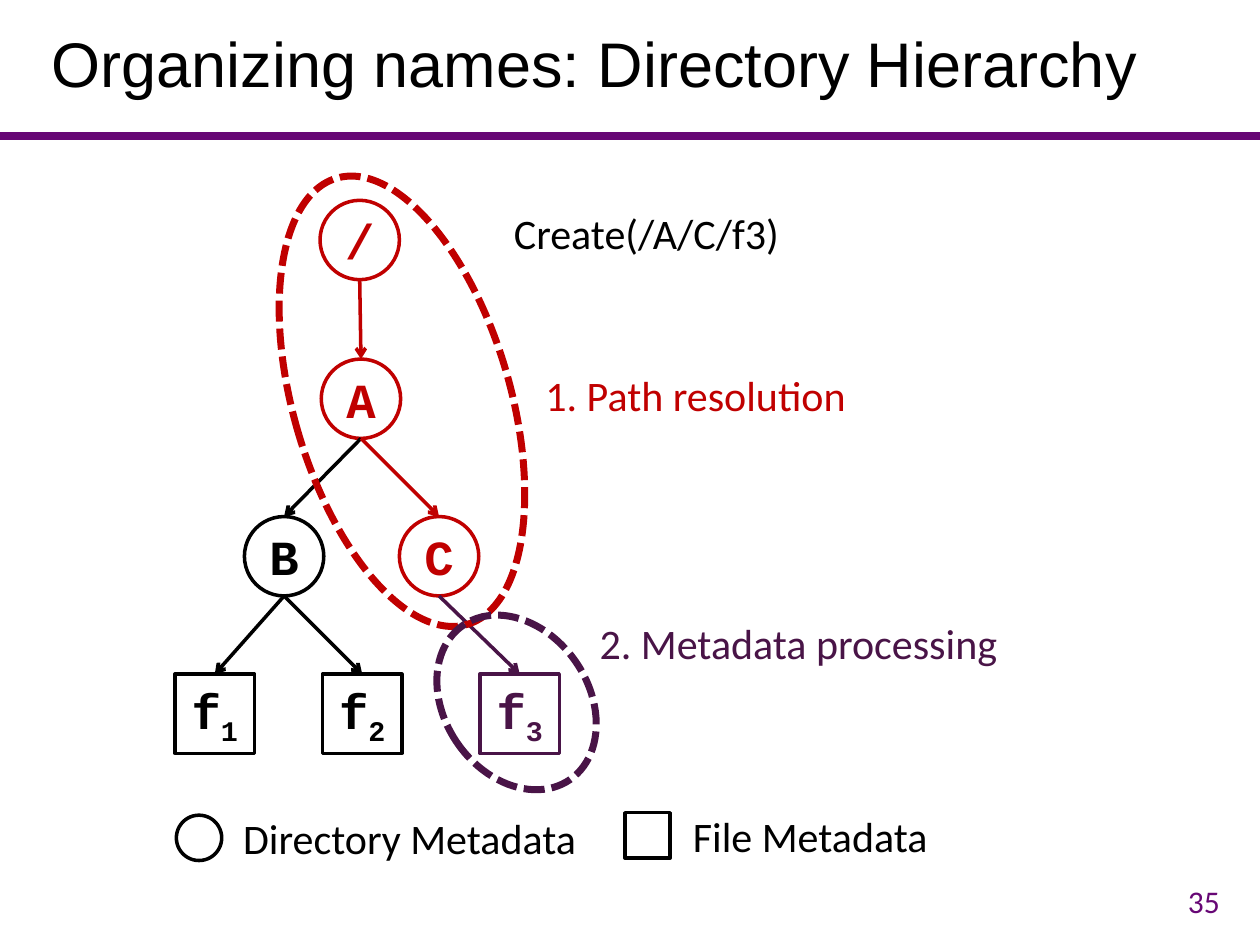
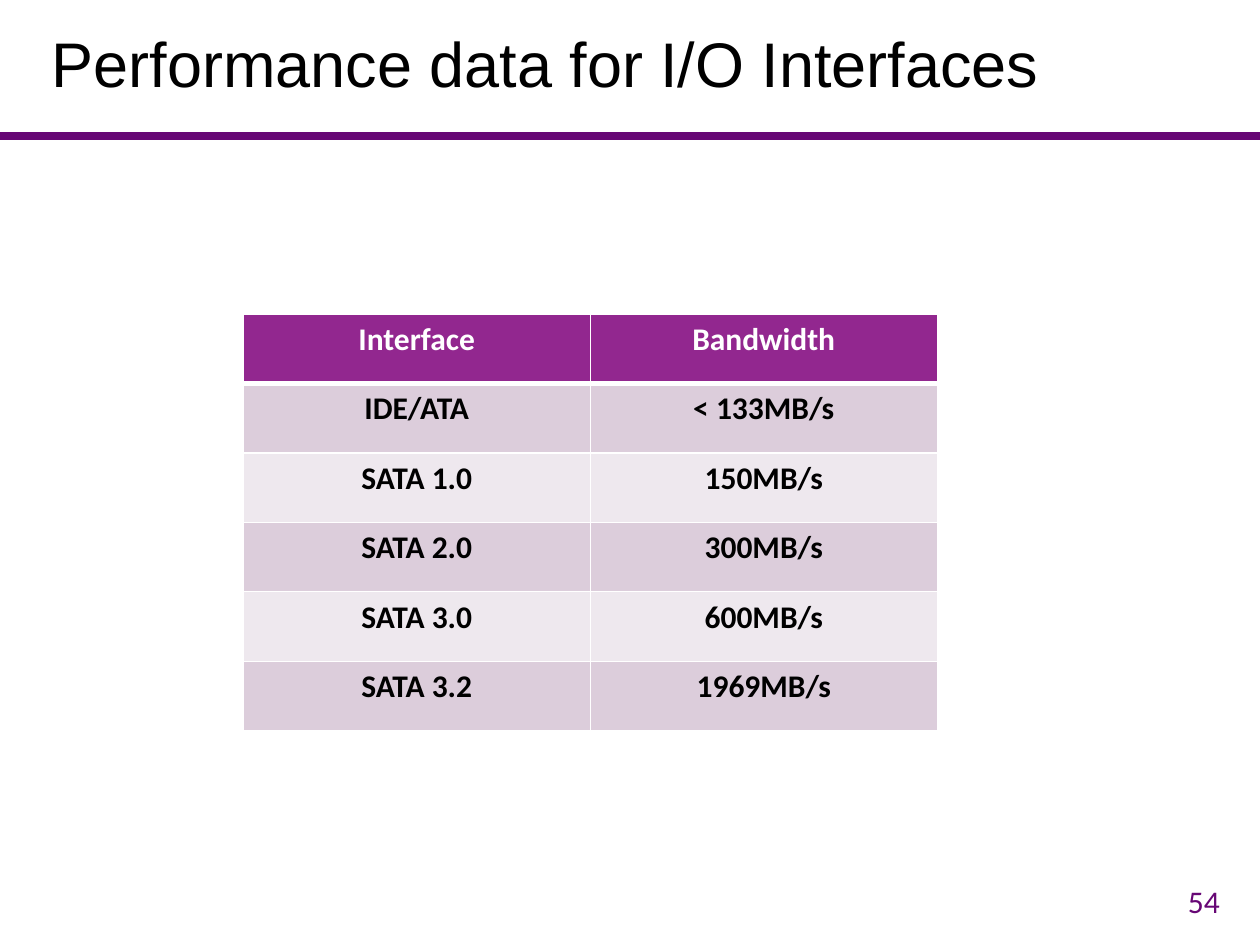
import pptx
import pptx.util
import pptx.dml.color
import pptx.enum.dml
import pptx.enum.shapes
import pptx.enum.text
import pptx.oxml
import pptx.oxml.ns

Inches = pptx.util.Inches
Pt = pptx.util.Pt
RGBColor = pptx.dml.color.RGBColor
ALIGN = pptx.enum.text.PP_ALIGN
ANCHOR = pptx.enum.text.MSO_ANCHOR
SHAPE = pptx.enum.shapes.MSO_SHAPE
STRAIGHT = pptx.enum.shapes.MSO_CONNECTOR.STRAIGHT
DASH = pptx.enum.dml.MSO_LINE.SQUARE_DOT

BLACK = RGBColor(0x00, 0x00, 0x00)
WHITE = RGBColor(0xFF, 0xFF, 0xFF)
PURPLE = RGBColor(0x67, 0x07, 0x75)
RED = RGBColor(0xC0, 0x00, 0x00)
PLUM = RGBColor(0x49, 0x14, 0x47)
HEAD = RGBColor(0x92, 0x27, 0x8F)
DARK = RGBColor(0xDC, 0xCD, 0xDB)
LIGHT = RGBColor(0xEE, 0xE8, 0xEE)

NODE = 0.63
KEY = 0.36


def write(frame, text, size=24, font="Calibri", color=BLACK, bold=False,
          align=ALIGN.LEFT, anchor=ANCHOR.TOP, inset=None, sub="", wrap=True):
    frame.word_wrap = wrap
    frame.auto_size = pptx.enum.text.MSO_AUTO_SIZE.NONE
    frame.vertical_anchor = anchor
    if inset is not None:
        frame.margin_left = frame.margin_right = Inches(inset)
        frame.margin_top = frame.margin_bottom = Inches(inset)
    line = frame.paragraphs[0]
    line.alignment = align
    for part in filter(None, (text, sub)):
        run = line.add_run()
        run.text = part
        run.font.size = Pt(size)
        run.font.name = font
        run.font.bold = bold
        run.font.color.rgb = color
    if sub:
        run._r.get_or_add_rPr().set("baseline", "-25000")


def join(slide, start, end, color, width=2, arrow=True):
    link = slide.shapes.add_connector(
        STRAIGHT, *[Inches(v) for v in (*start, *end)])
    link.line.color.rgb = color
    link.line.width = Pt(width)
    props = link._element.spPr
    if arrow:
        tail = pptx.oxml.parse_xml(
            f'<a:tailEnd {pptx.oxml.ns.nsdecls("a")} type="arrow"/>')
        link.line._get_or_add_ln().append(tail)
    props.append(pptx.oxml.parse_xml(
        f'<a:effectLst {pptx.oxml.ns.nsdecls("a")}/>'))
    return link


deck = pptx.Presentation()
deck.slide_width = Inches(10)
deck.slide_height = Inches(7.5)

slides = []
for title, page in (("Organizing names: Directory Hierarchy", "35"),
                    ("Performance data for I/O Interfaces", "54")):
    slide = deck.slides.add_slide(deck.slide_layouts[5])
    join(slide, (0, 1.08), (10, 1.08), PURPLE, width=4.5, arrow=False)
    head = slide.shapes.title
    head.left, head.top = Inches(0.31), Inches(0.09)
    head.width, head.height = Inches(9.47), Inches(0.89)
    write(head.text_frame, title, size=36, font="Arial", anchor=ANCHOR.MIDDLE)
    head.text_frame.paragraphs[0].line_spacing = 0.9
    box = slide.shapes.add_textbox(
        Inches(7.53), Inches(6.95), Inches(2.25), Inches(0.4))
    write(box.text_frame, page, size=18, color=PURPLE, align=ALIGN.RIGHT,
          anchor=ANCHOR.MIDDLE)
    slides.append(slide)

tree, speeds = slides

shapes = {}
for name, sub, kind, left, top, size, color in (
        ("/", "", SHAPE.OVAL, 2.54, 1.59, NODE, RED),
        ("A", "", SHAPE.OVAL, 2.55, 2.85, NODE, RED),
        ("B", "", SHAPE.OVAL, 1.94, 4.1, NODE, BLACK),
        ("C", "", SHAPE.OVAL, 3.17, 4.1, NODE, RED),
        ("f", "1", SHAPE.RECTANGLE, 1.39, 5.35, NODE, BLACK),
        ("f", "2", SHAPE.RECTANGLE, 2.56, 5.35, NODE, BLACK),
        ("f", "3", SHAPE.RECTANGLE, 3.81, 5.35, NODE, PLUM),
        ("", "", SHAPE.OVAL, 1.4, 6.47, KEY, BLACK),
        ("", "", SHAPE.RECTANGLE, 4.96, 6.45, KEY, BLACK)):
    node = tree.shapes.add_shape(
        kind, Inches(left), Inches(top), Inches(size), Inches(size))
    node.shadow.inherit = False
    if kind == SHAPE.OVAL:
        node.fill.solid()
        node.fill.fore_color.rgb = WHITE
    else:
        node.fill.background()
    node.line.color.rgb = color
    node.line.width = Pt(2)
    if name:
        write(node.text_frame, name, sub=sub, size=28, font="Courier New",
              color=color, bold=True, align=ALIGN.CENTER,
              anchor=ANCHOR.MIDDLE, inset=0, wrap=False)
        shapes[name + sub] = node

for start, end, color in (("/", "A", RED), ("A", "B", BLACK), ("A", "C", RED),
                          ("B", "f1", BLACK), ("B", "f2", BLACK),
                          ("C", "f3", PLUM)):
    above, below = shapes[start], shapes[end]
    first = ((above.left + above.width / 2) / Inches(1),
             (above.top + above.height) / Inches(1))
    last = ((below.left + below.width / 2) / Inches(1),
            below.top / Inches(1))
    link = join(tree, first, last, color)
    if end.startswith("f"):
        link.end_connect(below, 0)

for left, top, width, height, turn, color in (
        (2.33, 1.34, 1.72, 3.69, 343.7, RED),
        (3.53, 4.83, 1.14, 1.49, 325.2, PLUM)):
    ring = tree.shapes.add_shape(
        SHAPE.OVAL, Inches(left), Inches(top), Inches(width), Inches(height))
    ring.shadow.inherit = False
    ring.rotation = turn
    ring.fill.background()
    ring.line.color.rgb = color
    ring.line.width = Pt(4)
    ring.line.dash_style = DASH

for text, left, top, width, height, color, inset in (
        ("Create(/A/C/f3)", 3.98, 1.6, 2.68, 0.5, BLACK, None),
        ("1. Path resolution", 4.23, 2.88, 3.12, 0.5, RED, None),
        ("2. Metadata processing", 4.66, 4.85, 3.69, 0.5, PLUM, None),
        ("Directory Metadata", 1.93, 6.45, 2.85, 0.4, BLACK, 0),
        ("File Metadata", 5.5, 6.43, 2.14, 0.4, BLACK, 0)):
    box = tree.shapes.add_textbox(
        Inches(left), Inches(top), Inches(width), Inches(height))
    write(box.text_frame, text, color=color, inset=inset)

rows = (("Interface", "Bandwidth"),
        ("IDE/ATA", "< 133MB/s"),
        ("SATA 1.0", "150MB/s"),
        ("SATA 2.0", "300MB/s"),
        ("SATA 3.0", "600MB/s"),
        ("SATA 3.2", "1969MB/s"))
grid = speeds.shapes.add_table(
    len(rows), 2, Inches(1.93), Inches(2.49), Inches(5.51), Inches(3.31)).table
for r, row in enumerate(rows):
    for c, text in enumerate(row):
        cell = grid.cell(r, c)
        cell.fill.solid()
        cell.fill.fore_color.rgb = HEAD if r == 0 else DARK if r % 2 else LIGHT
        line = cell.text_frame.paragraphs[0]
        line.alignment = ALIGN.CENTER
        run = line.add_run()
        run.text = text
        run.font.size = Pt(18)
        run.font.name = "Calibri"
        run.font.bold = True
        run.font.color.rgb = BLACK if r else WHITE
        props = cell._tc.get_or_add_tcPr()
        for i, side in enumerate(("lnL", "lnR", "lnT", "lnB")):
            thick = (r, side) in ((0, "lnB"), (1, "lnT"))
            props.insert(i, pptx.oxml.parse_xml(
                f'<a:{side} {pptx.oxml.ns.nsdecls("a")} '
                f'w="{Pt(3 if thick else 1)}"><a:solidFill>'
                f'<a:srgbClr val="{WHITE}"/></a:solidFill></a:{side}>'))

deck.save("out.pptx")
